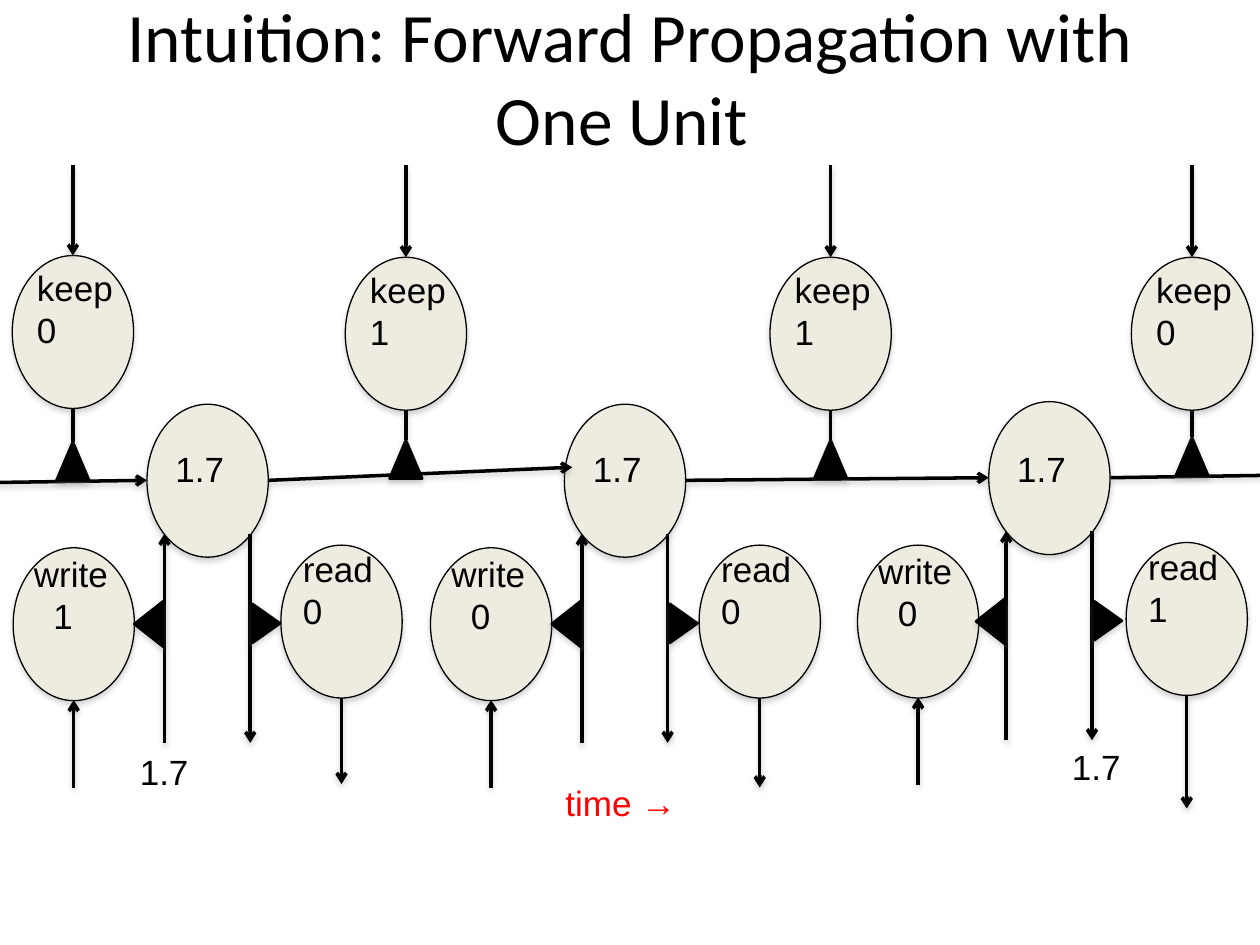
from pptx import Presentation
from pptx.dml.color import RGBColor
from pptx.enum import shapes, text
from pptx.oxml import ns, parse_xml
from pptx.util import Pt

BLACK = RGBColor(0x00, 0x00, 0x00)
CREAM = RGBColor(0xEE, 0xEC, 0xE1)
RED = RGBColor(0xFF, 0x00, 0x00)
OVAL = shapes.MSO_SHAPE.OVAL
GATE = shapes.MSO_SHAPE.ISOSCELES_TRIANGLE
WIDE, HIGH = 69.3, 87.4
MID = WIDE / 2
LABEL = {"size": Pt(20), "name": "Arial"}
HEAD = {"size": Pt(39.6), "name": "Calibri"}
FRAME = {"word_wrap": True, "vertical_anchor": text.MSO_ANCHOR.TOP}
SHADE = (
    f'<a:effectLst {ns.nsdecls("a")}>'
    '<a:outerShdw blurRad="39370" dist="22860" dir="5400000" rotWithShape="0">'
    '<a:srgbClr val="808080"><a:alpha val="35000"/></a:srgbClr>'
    "</a:outerShdw></a:effectLst>"
)
TIP = f'<a:tailEnd {ns.nsdecls("a")} type="arrow"/>'

deck = Presentation()
deck.slide_width, deck.slide_height = Pt(720), Pt(540)
slide = deck.slides.add_slide(deck.slide_layouts[6])
items = slide.shapes


def draw(kind, x, y, w, h, fill, edge, turn=0):
    shape = items.add_shape(kind, Pt(x), Pt(y), Pt(w), Pt(h))
    shape.rotation = turn
    shape.fill.solid()
    shape.fill.fore_color.rgb = fill
    shape.line.color.rgb = BLACK
    shape.line.width = Pt(edge)


def link(x1, y1, x2, y2, tip=True):
    line = items.add_connector(
        shapes.MSO_CONNECTOR.STRAIGHT, Pt(x1), Pt(y1), Pt(x2), Pt(y2)
    )
    line.line.color.rgb = BLACK
    line.line.width = Pt(2)
    if tip:
        line.element.spPr.find(ns.qn("a:ln")).append(parse_xml(TIP))


labels = [
    ("1.7", 72.8, 425.5, 70, 32, BLACK),
    ("1.7", 605.4, 422.6, 70, 32, BLACK),
    ("time →", 316, 443, 138, 32, RED),
]

cells = [
    (84, 231, 7.5, 160.5, 448, "1", "0"),
    (322.5, 231, 246, 399.5, 450, "0", "0"),
    (565, 229.5, 490, 643.5, 462, "0", "1"),
]
for unit, top, write, read, end, put, get in cells:
    draw(OVAL, unit, top, WIDE, HIGH, CREAM, 0.75)
    link(unit + 10, top + 193.5, unit + 10, top + 74)
    link(unit + 59, top + 74, unit + 59, top + 193.5)
    draw(OVAL, read, top + 80.5, WIDE, HIGH, CREAM, 0.75)
    draw(OVAL, write, top + 82, WIDE, HIGH, CREAM, 0.75)
    draw(GATE, unit + 57, top + 117.3, 22.3, 15.8, BLACK, 1.5, 90)
    draw(GATE, unit - 12, top + 117.3, 26, 16.5, BLACK, 1.5, 270)
    link(write + MID, top + 219, write + MID, top + 169)
    link(read + MID, top + 168, read + MID, end)
    labels += [
        ("1.7", unit + 9.2, 252, 55, 32, BLACK),
        (f"read\n{get}", read + 5.5, top + 78.5, 80, 55.5, BLACK),
        (f"write\n{put}", write + 4.8, top + 81.2, 57.6, 55.5, BLACK),
    ]

for ends in [
    (-21.5, 276, 84, 274.5),
    (153.5, 274.5, 327, 267),
    (391.7, 274.5, 565, 273),
    (634.5, 273, 733, 271.5),
]:
    link(*ends)

keeps = [
    (7, 146, 252.5, "0"),
    (197.3, 147, 251.5, "1"),
    (440, 147, 251.5, "1"),
    (646.5, 147, 250, "0"),
]
for left, top, gate, bit in keeps:
    mid = left + MID
    draw(OVAL, left, top, WIDE, HIGH, CREAM, 0.75)
    draw(GATE, mid - 9.35, gate, 18.7, 22, BLACK, 1.5)
    link(mid, top + HIGH, mid, gate, False)
    link(mid, 94.5, mid, top)
    labels.append((f"keep {bit}", left + 7, top + 2.8, 62.5, 55.5, BLACK))

for item in items:
    item.element.spPr.append(parse_xml(SHADE))

for words, x, y, w, h, tint in labels:
    frame = items.add_textbox(Pt(x), Pt(y), Pt(w), Pt(h)).text_frame
    for key, val in FRAME.items():
        setattr(frame, key, val)
    frame.text = words
    for para in frame.paragraphs:
        for key, val in LABEL.items():
            setattr(para.font, key, val)
        para.font.color.rgb = tint
    if words.startswith("write"):
        para._p.get_or_add_pPr().set("marL", str(Pt(11.2)))

title = items.add_textbox(Pt(36), Pt(-1.5), Pt(648), Pt(90)).text_frame
title.word_wrap = True
title.vertical_anchor = text.MSO_ANCHOR.MIDDLE
title.text = "Intuition: Forward Propagation with One Unit "
para = title.paragraphs[0]
para.alignment = text.PP_ALIGN.CENTER
for key, val in HEAD.items():
    setattr(para.font, key, val)
para.font.color.rgb = BLACK

deck.save("out.pptx")
